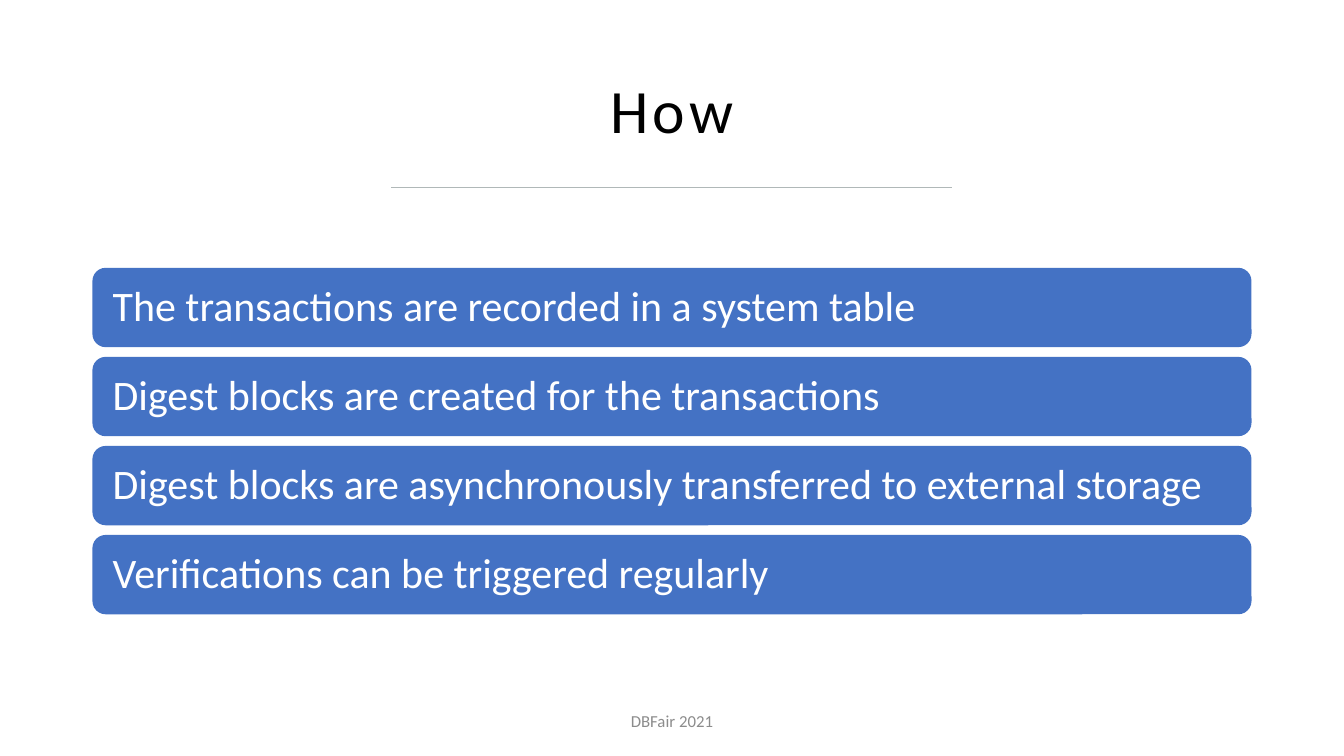
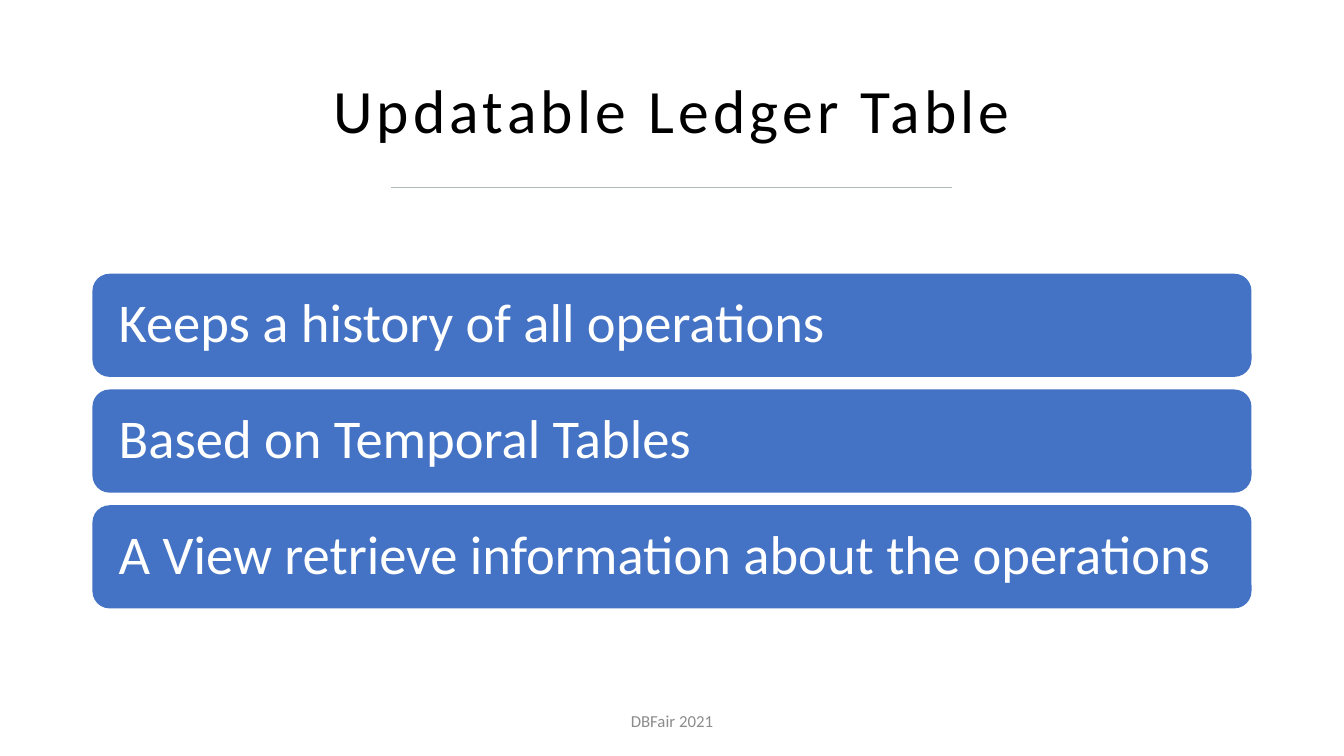
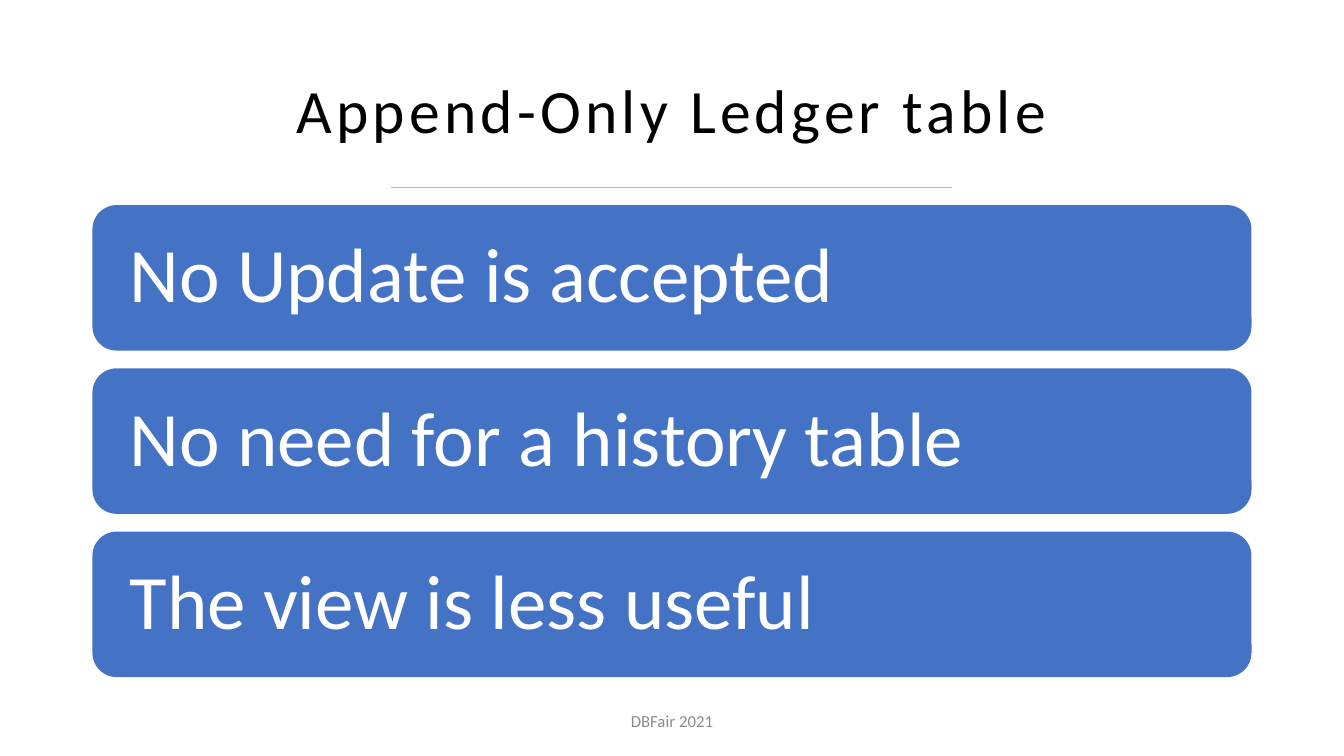
from dataclasses import dataclass

from lxml import etree
from pptx import Presentation
from pptx import util as u
from pptx.dml.color import RGBColor
from pptx.enum import shapes, text
from pptx.oxml.ns import qn


@dataclass(frozen=True)
class Theme:
    font: str = "Calibri"
    ink: str = "000000"
    bar: str = "4472C4"
    bar_text: str = "FFFFFF"
    muted: str = "8C8C8C"
    rule: str = "B0B8B8"
    title_size: int = 44
    footer_size: int = 12
    tracking: int = 300  # hundredths of a point


THEME = Theme()
FOOTER = "DBFair 2021"

# Regions in cm: left, top, width, height
TITLE_BOX = (2.33, 1.02, 29.21, 3.68)
RULE_BOX = (9.86, 4.72, 14.12, 0)
BARS_BOX = (2.33, 5.08, 29.21, 12.07)
FOOTER_BOX = (11.22, 17.65, 11.43, 1.01)

# Bar proportions, as multiples of the type size
BAR_HEIGHT, BAR_GAP, BAR_INSET = 1.89, 0.23, 0.39

# Title, bar type size, bar texts
PAGES = [
    ("How", 30, [
        "The transactions are recorded in a system table",
        "Digest blocks are created for the transactions",
        "Digest blocks are asynchronously transferred to external storage",
        "Verifications can be triggered regularly",
    ]),
    ("Updatable Ledger Table", 39, [
        "Keeps a history of all operations",
        "Based on Temporal Tables",
        "A View retrieve information about the operations",
    ]),
    ("Append-Only Ledger table", 55, [
        "No Update is accepted",
        "No need for a history table",
        "The view is less useful",
    ]),
]


def write(shape, words, size, color, align, line_spacing=1.0):
    """Put one formatted line of text in a shape, centred vertically."""
    frame = shape.text_frame
    frame.text = words
    frame.word_wrap = True
    frame.vertical_anchor = text.MSO_ANCHOR.MIDDLE
    para = frame.paragraphs[0]
    para.alignment = align
    para.line_spacing = line_spacing
    span = para.runs[0]
    span.font.name = THEME.font
    span.font.size = u.Pt(size)
    span.font.color.rgb = RGBColor.from_string(color)
    return span


def add_title(page, box, words):
    shape = page.shapes.add_textbox(*map(u.Cm, box))
    span = write(shape, words, THEME.title_size, THEME.ink,
                 text.PP_ALIGN.CENTER, 0.9)
    span.font._element.set("spc", str(THEME.tracking))


def add_rule(page, box):
    left, top, width, height = box
    rule = page.shapes.add_connector(
        shapes.MSO_CONNECTOR.STRAIGHT,
        *map(u.Cm, (left, top, left + width, top + height)))
    rule.line.color.rgb = RGBColor.from_string(THEME.rule)
    rule.line.width = u.Pt(0.5)
    etree.SubElement(rule._element.spPr, qn("a:effectLst"))


def add_bars(page, box, size, lines):
    """Stack one bar per line, centred vertically in the box."""
    left, top, width, height = box
    em = size * 2.54 / 72
    bar_height, pitch = BAR_HEIGHT * em, (BAR_HEIGHT + BAR_GAP) * em
    first = top + (height - pitch * (len(lines) - 1) - bar_height) / 2
    for index, line in enumerate(lines):
        bar = page.shapes.add_shape(
            shapes.MSO_SHAPE.ROUNDED_RECTANGLE,
            *map(u.Cm, (left, first + index * pitch, width, bar_height)))
        bar.shadow.inherit = False
        bar.fill.solid()
        bar.fill.fore_color.rgb = RGBColor.from_string(THEME.bar)
        bar.line.fill.background()
        frame = bar.text_frame
        frame.margin_left = frame.margin_right = u.Cm(BAR_INSET * em)
        frame.margin_top = frame.margin_bottom = 0
        write(bar, line, size, THEME.bar_text, text.PP_ALIGN.LEFT, 0.9)


def add_footer(page, box):
    shape = page.shapes.add_textbox(*map(u.Cm, box))
    write(shape, FOOTER, THEME.footer_size, THEME.muted, text.PP_ALIGN.CENTER)


def add_page(deck, title, size, lines):
    page = deck.slides.add_slide(deck.slide_layouts[6])
    add_title(page, TITLE_BOX, title)
    add_bars(page, BARS_BOX, size, lines)
    add_footer(page, FOOTER_BOX)
    add_rule(page, RULE_BOX)


def main():
    deck = Presentation()
    deck.slide_width, deck.slide_height = u.Cm(33.87), u.Cm(19.05)
    for title, size, lines in PAGES:
        add_page(deck, title, size, lines)
    deck.save("out.pptx")


if __name__ == "__main__":
    main()
